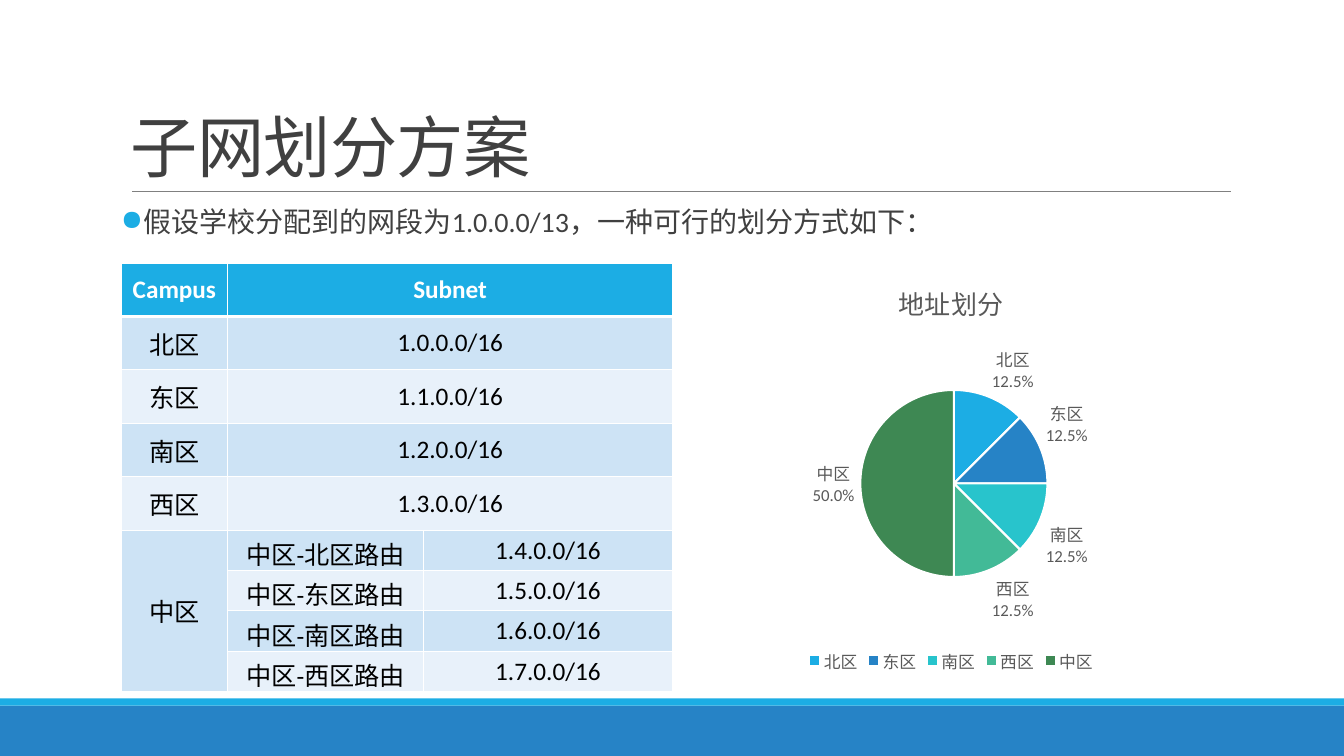
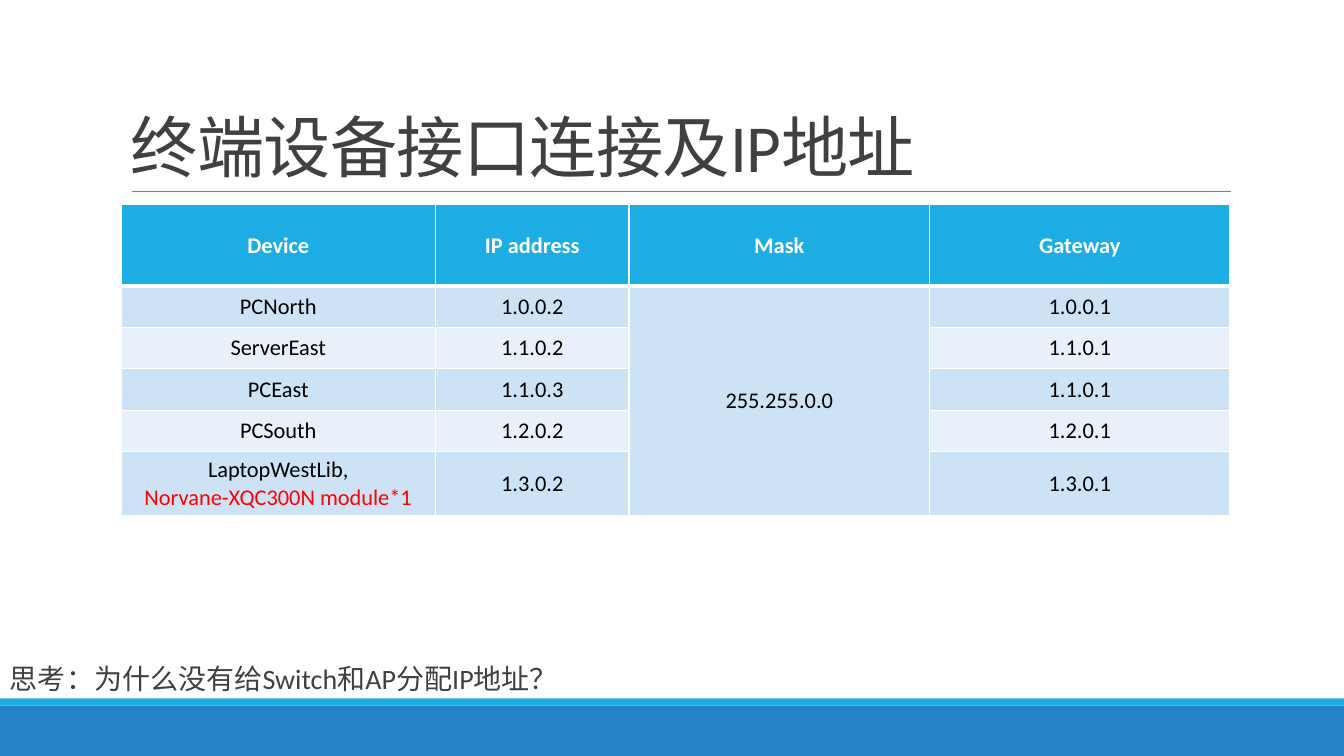
from lxml import etree
from pptx import Presentation, util as u
from pptx.chart.data import CategoryChartData
from pptx.dml.color import RGBColor
from pptx.enum import chart as ch, shapes, text
from pptx.oxml.ns import qn

THEME = {
    "font": "Calibri",
    "colors": {
        "body": "404040", "muted": "595959", "rule": "808080", "white": "FFFFFF",
        "black": "000000", "red": "FF0000", "accent": "1CADE4", "band": "2683C6",
        "row_dark": "CDE3F5", "row_light": "E8F1FA",
    },
    "slices": ["1CADE4", "2683C6", "28C4CC", "42BA97", "3E8853"],
    "sizes": {"title": 48, "body": 20, "subnet": 18, "device": 16, "chart_title": 18.6, "label": 12},
}
COLORS = {name: RGBColor.from_string(value) for name, value in THEME["colors"].items()}
SIZES = THEME["sizes"]


def style(font, size, color, bold=False):
    font.name = THEME["font"]
    font.size = u.Pt(SIZES[size])
    font.color.rgb = COLORS[color]
    font.bold = bold


def add_grid(s, left, top, widths, heights, rows, merges, size):
    frame = s.shapes.add_table(len(rows), len(widths), u.Inches(left), u.Inches(top),
                               u.Inches(sum(widths)), u.Inches(sum(heights)))
    tbl = frame.table
    for col, width in zip(tbl.columns, widths):
        col.width = u.Inches(width)
    for row, height in zip(tbl.rows, heights):
        row.height = u.Inches(height)
    for i, values in enumerate(rows):
        fill = "accent" if i == 0 else "row_dark" if i % 2 else "row_light"
        for j, value in enumerate(values):
            cell = tbl.cell(i, j)
            cell.fill.solid()
            cell.fill.fore_color.rgb = COLORS[fill]
            cell.vertical_anchor = text.MSO_ANCHOR.MIDDLE
            tcPr = cell._tc.get_or_add_tcPr()
            for k, side in enumerate("LRTB"):
                thick = (i, side) in ((0, "B"), (1, "T"))
                ln = etree.Element(qn(f"a:ln{side}"), w=str(u.Pt(3 if thick else 1)))
                solid = etree.SubElement(ln, qn("a:solidFill"))
                etree.SubElement(solid, qn("a:srgbClr"), val=THEME["colors"]["white"])
                tcPr.insert(k, ln)
            if not value:
                continue
            for k, line in enumerate(value.split("\n")):
                tf = cell.text_frame
                p = tf.add_paragraph() if k else tf.paragraphs[0]
                p.alignment = text.PP_ALIGN.CENTER
                r = p.add_run()
                r.text = line
                style(r.font, size, "white" if i == 0 else "red" if k else "black", i == 0)
    for r1, c1, r2, c2 in merges:
        tbl.cell(r1, c1).merge(tbl.cell(r2, c2))


prs = Presentation()
prs.slide_width, prs.slide_height = u.Inches(13.33), u.Inches(7.5)

slides = []
for title in ("子网划分方案", "终端设备接口连接及IP地址"):
    s = prs.slides.add_slide(prs.slide_layouts[6])
    slides.append(s)
    for top, height, color in ((7, 0.5, "band"), (6.93, 0.07, "accent")):
        sp = s.shapes.add_shape(shapes.MSO_SHAPE.RECTANGLE, 0, u.Inches(top),
                                prs.slide_width, u.Inches(height))
        sp.shadow.inherit = False
        sp.fill.solid()
        sp.fill.fore_color.rgb = COLORS[color]
        sp.line.fill.background()
    rule = s.shapes.add_connector(shapes.MSO_CONNECTOR.STRAIGHT, u.Inches(1.31), u.Inches(1.9),
                                  u.Inches(12.21), u.Inches(1.9))
    rule.line.color.rgb = COLORS["rule"]
    rule.line.width = u.Pt(0.5)
    etree.SubElement(rule._element.spPr, qn("a:effectLst"))
    tf = s.shapes.add_textbox(u.Inches(1.2), u.Inches(0.31), u.Inches(11), u.Inches(1.59)).text_frame
    tf.word_wrap = True
    tf.vertical_anchor = text.MSO_ANCHOR.BOTTOM
    p = tf.paragraphs[0]
    p.line_spacing = 0.85
    r = p.add_run()
    r.text = title
    style(r.font, "title", "body")
    r.font._element.set("spc", "-50")

subnet_slide, device_slide = slides

campuses = ["北区", "东区", "南区", "西区"]
subnets = [["Campus", "Subnet", ""]]
subnets += [[name, f"1.{i}.0.0/16", ""] for i, name in enumerate(campuses)]
subnets += [["" if i else "中区", f"中区-{name}路由", f"1.{i + 4}.0.0/16"]
            for i, name in enumerate(campuses)]
add_grid(subnet_slide, 1.2, 2.61, [1.06, 1.94, 2.47], [0.53] * 5 + [0.36] * 4, subnets,
         [(i, 1, i, 2) for i in range(5)] + [(5, 0, 8, 0)], "subnet")

tf = subnet_slide.shapes.add_textbox(u.Inches(1.2), u.Inches(2.02), u.Inches(11), u.Inches(0.47)).text_frame
tf.word_wrap = True
tf.margin_left = tf.margin_right = 0
p = tf.paragraphs[0]
p.line_spacing = 0.9
p.space_before, p.space_after = u.Pt(12), u.Pt(2)
pPr = p._p.get_or_add_pPr()
pPr.set("marL", str(u.Inches(0.1)))
pPr.set("indent", str(u.Inches(-0.1)))
bullet_color = etree.SubElement(pPr, qn("a:buClr"))
etree.SubElement(bullet_color, qn("a:srgbClr"), val=THEME["colors"]["accent"])
etree.SubElement(pPr, qn("a:buChar"), char="●")
r = p.add_run()
r.text = "假设学校分配到的网段为1.0.0.0/13，一种可行的划分方式如下："
style(r.font, "body", "body")

data = CategoryChartData()
data.categories = campuses + ["中区"]
data.add_series("地址划分", [12.5] * 4 + [50])
chart = subnet_slide.shapes.add_chart(ch.XL_CHART_TYPE.PIE, u.Inches(6.67), u.Inches(2.61),
                                      u.Inches(5.53), u.Inches(4.11), data).chart
style(chart.font, "label", "muted")
chart.has_title = True
r = chart.chart_title.text_frame.paragraphs[0].add_run()
r.text = "地址划分"
style(r.font, "chart_title", "muted")
chart.has_legend = True
chart.legend.position = ch.XL_LEGEND_POSITION.BOTTOM
chart.legend.include_in_layout = False
style(chart.legend.font, "label", "muted")
plot = chart.plots[0]
plot.vary_by_categories = True
series = plot.series[0]
for i, color in enumerate(THEME["slices"]):
    fmt = series.points[i].format
    fmt.fill.solid()
    fmt.fill.fore_color.rgb = RGBColor.from_string(color)
    fmt.line.color.rgb = COLORS["white"]
    fmt.line.width = u.Pt(1.5)
labels = series.data_labels
labels.show_value = False
labels.show_category_name = labels.show_percentage = True
labels.number_format = "0.0%"
labels.number_format_is_linked = False
labels.position = ch.XL_LABEL_POSITION.OUTSIDE_END
style(labels.font, "label", "muted")
separator = etree.Element(qn("c:separator"))
separator.text = "\n"
labels._element.find(qn("c:showBubbleSize")).addnext(separator)

devices = [
    ["Device", "IP address", "Mask", "Gateway"],
    ["PCNorth", "1.0.0.2", "255.255.0.0", "1.0.0.1"],
    ["ServerEast", "1.1.0.2", "", "1.1.0.1"],
    ["PCEast", "1.1.0.3", "", "1.1.0.1"],
    ["PCSouth", "1.2.0.2", "", "1.2.0.1"],
    ["LaptopWestLib,\nNorvane-XQC300N module*1", "1.3.0.2", "", "1.3.0.1"],
]
add_grid(device_slide, 1.2, 2.03, [3.12, 1.92, 2.98, 2.98], [0.81] + [0.41] * 5, devices,
         [(1, 2, 5, 2)], "device")

tf = device_slide.shapes.add_textbox(0, u.Inches(6.51), u.Inches(6.55), u.Inches(0.44)).text_frame
tf.word_wrap = True
tf.auto_size = text.MSO_AUTO_SIZE.SHAPE_TO_FIT_TEXT
r = tf.paragraphs[0].add_run()
r.text = "思考：为什么没有给Switch和AP分配IP地址？"
style(r.font, "body", "body")

prs.save("out.pptx")
